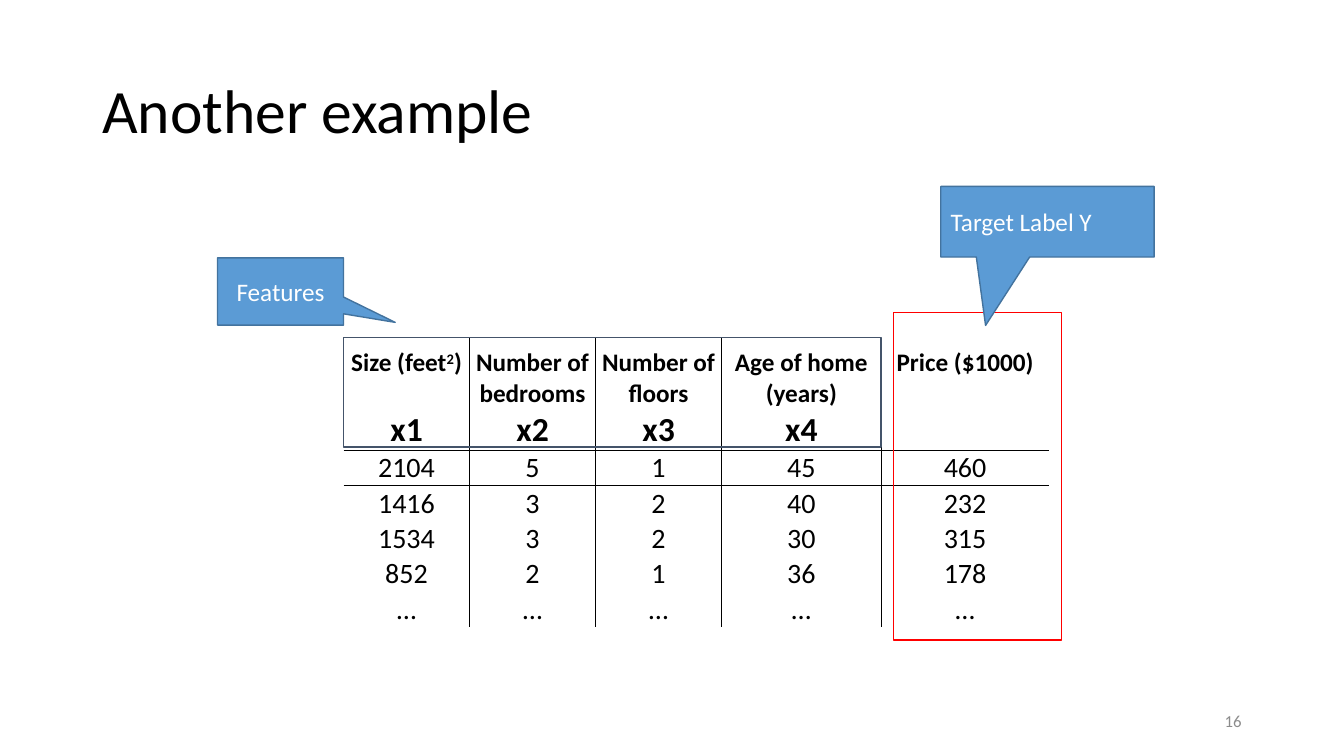
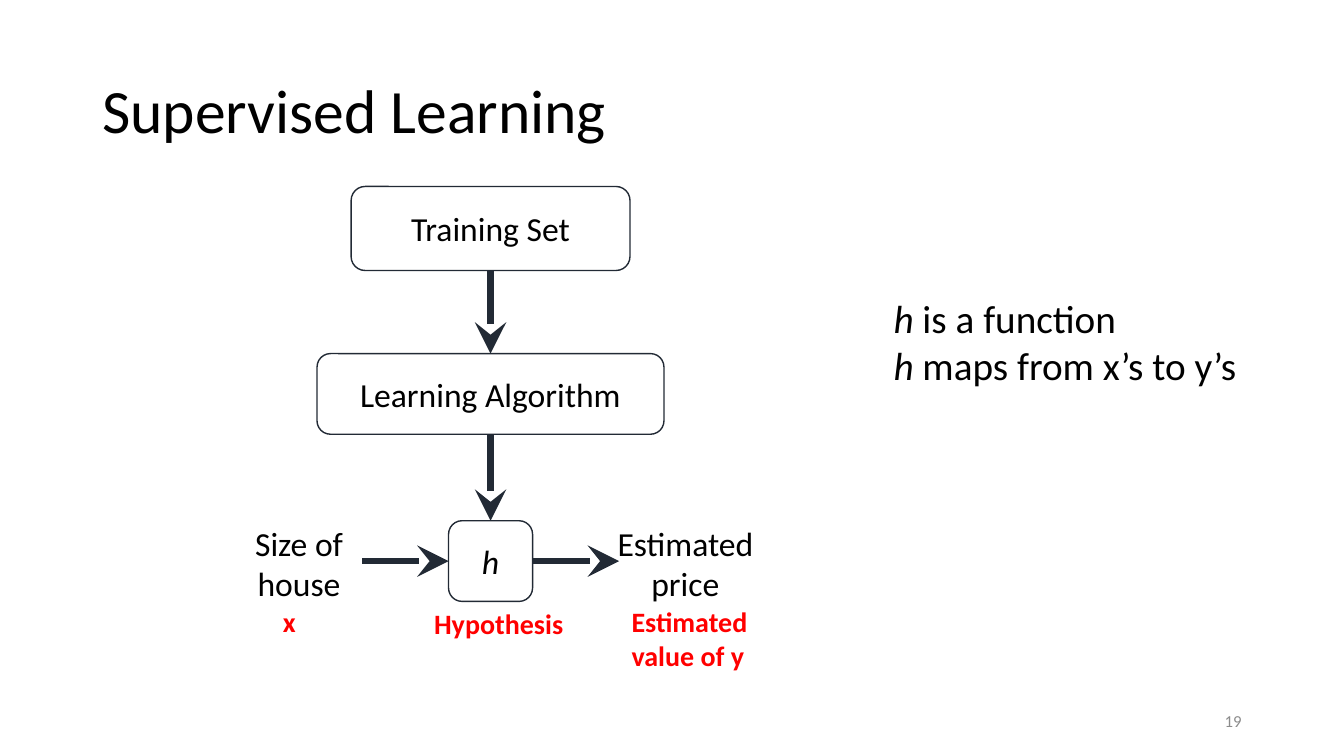
from dataclasses import dataclass, replace
from typing import NamedTuple, Optional

from lxml.etree import SubElement
from pptx import Presentation
from pptx.dml.color import RGBColor
from pptx.enum.shapes import MSO_CONNECTOR, MSO_SHAPE
from pptx.enum.text import MSO_ANCHOR, PP_ALIGN
from pptx.oxml.ns import qn
from pptx.util import Emu, Inches, Pt

# Shared look: a grid of 160 columns by 90 rows, 12 to the inch
COLS, ROWS, PER_INCH = 160, 90, 12
FONT = "Calibri"
COLORS = {
    "black": "000000", "white": "FFFFFF", "gray": "8C8C8C", "red": "FF0000",
    "blue": "5B9BD5", "edge": "43739E", "slate": "44546A", "ink": "222A35",
}


class Box(NamedTuple):
    col: float
    row: float
    wide: float
    high: float


class Bit(NamedTuple):
    text: str
    slant: bool = False
    raised: bool = False


@dataclass(frozen=True)
class Style:
    size: float
    color: str = "black"
    bold: bool = False
    align: PP_ALIGN = PP_ALIGN.LEFT
    anchor: MSO_ANCHOR = MSO_ANCHOR.TOP
    spacing: Optional[float] = None


@dataclass(frozen=True)
class Line:
    bits: tuple
    size: Optional[float] = None
    before: float = 0


@dataclass(frozen=True)
class Label:
    box: Box
    lines: tuple
    style: Style
    wrap: bool = False


@dataclass(frozen=True)
class Block:
    kind: MSO_SHAPE
    box: Box
    line: str
    fill: Optional[str] = None
    text: Optional[Line] = None
    style: Optional[Style] = None
    tip: tuple = ()


MID, CENTER = MSO_ANCHOR.MIDDLE, PP_ALIGN.CENTER
TITLE = Style(44, anchor=MID, spacing=0.9)
NUMBER = Style(12, "gray", align=PP_ALIGN.RIGHT, anchor=MID)
CALL = Style(18, "white", align=CENTER, anchor=MID)
STEP = Style(24, align=CENTER, anchor=MID)
SIDE = Style(24, align=CENTER)
TAG = Style(20, "red", bold=True)
NOTE = Style(28)
HEAD = Style(18, bold=True, align=CENTER, anchor=MSO_ANCHOR.BOTTOM)
BODY = Style(20, align=CENTER, anchor=MSO_ANCHOR.BOTTOM)


def grid(units: float) -> Emu:
    return Inches(units / PER_INCH)


def place(box: Box) -> list:
    return [grid(side) for side in box]


def rgb(name: str) -> RGBColor:
    return RGBColor.from_string(COLORS[name])


def plain(text: str, size: Optional[float] = None, before: float = 0) -> Line:
    return Line((Bit(text),), size, before)


def write(frame, lines: tuple, style: Style) -> None:
    for i, line in enumerate(lines):
        para = frame.add_paragraph() if i else frame.paragraphs[0]
        para.alignment = style.align
        if style.spacing:
            para.line_spacing = style.spacing
        if line.before:
            para.space_before = Pt(line.before)
        for bit in line.bits:
            run = para.add_run()
            run.text = bit.text
            font = run.font
            font.name, font.size = FONT, Pt(line.size or style.size)
            font.bold, font.italic = style.bold, bit.slant
            font.color.rgb = rgb(style.color)
            if bit.raised:
                run._r.get_or_add_rPr().set("baseline", "30000")


def add_label(slide, label: Label) -> None:
    frame = slide.shapes.add_textbox(*place(label.box)).text_frame
    frame.word_wrap = label.wrap
    frame.vertical_anchor = label.style.anchor
    write(frame, label.lines, label.style)


def add_block(slide, block: Block):
    shape = slide.shapes.add_shape(block.kind, *place(block.box))
    shape.shadow.inherit = False
    shape.line.color.rgb, shape.line.width = rgb(block.line), Pt(1)
    if block.fill:
        shape.fill.solid()
        shape.fill.fore_color.rgb = rgb(block.fill)
    else:
        shape.fill.background()
    for i, value in enumerate(block.tip):
        shape.adjustments[i] = value
    if block.text:
        shape.text_frame.vertical_anchor = block.style.anchor
        write(shape.text_frame, (block.text,), block.style)
    return shape


def add_arrow(slide, start: tuple, end: tuple, tail=None, head=None) -> None:
    """Draw an arrow; tail and head are (shape, side) pairs to join."""
    arrow = slide.shapes.add_connector(
        MSO_CONNECTOR.STRAIGHT, *map(grid, start + end))
    if tail:
        arrow.begin_connect(*tail)
    if head:
        arrow.end_connect(*head)
    arrow.line.color.rgb, arrow.line.width = rgb("ink"), Pt(4.5)
    SubElement(arrow.line._get_or_add_ln(), qn("a:tailEnd"),
               type="stealth", w="lg", len="lg")
    SubElement(arrow._element.spPr, qn("a:effectLst"))


def set_edges(cell, shown: dict) -> None:
    props = cell._tc.get_or_add_tcPr()
    for side in "LRTB":
        edge = SubElement(props, qn(f"a:ln{side}"), w=str(Pt(1)))
        if shown[side]:
            fill = SubElement(edge, qn("a:solidFill"))
            SubElement(fill, qn("a:srgbClr"), val=COLORS["black"])
        else:
            SubElement(edge, qn("a:noFill"))


def add_grid(slide, col: float, row: float, wides: list, highs: list,
             cells: list) -> None:
    box = Box(col, row, sum(wides), sum(highs))
    table = slide.shapes.add_table(
        len(highs), len(wides), *place(box)).table
    table.first_row = table.horz_banding = False
    for column, wide in zip(table.columns, wides):
        column.width = grid(wide)
    for line, high in zip(table.rows, highs):
        line.height = grid(high)
    for r, texts in enumerate(cells):
        for c, lines in enumerate(texts):
            cell = table.cell(r, c)
            style = BODY if r else HEAD
            cell.margin_left = cell.margin_right = Inches(0.01)
            cell.margin_top, cell.margin_bottom = Inches(0.01), 0
            cell.vertical_anchor = style.anchor
            # The price heading has no symbol below it, so it starts on top
            if r == 0 and len(lines) == 1:
                cell.vertical_anchor = MSO_ANCHOR.TOP
                cell.margin_top = Inches(0.1)
            # Rules between columns, and below the first two rows
            set_edges(cell, {"L": c > 0, "R": c < len(wides) - 1,
                             "T": r in (1, 2), "B": r in (0, 1)})
            cell.fill.solid()
            cell.fill.fore_color.rgb = rgb("white")
            write(cell.text_frame, lines, style)


def add_page(deck, title: str, number: int):
    slide = deck.slides.add_slide(deck.slide_layouts[6])
    add_label(slide, Label(Box(11, 4.8, 138, 17.4), (plain(title),),
                           TITLE, True))
    add_label(slide, Label(Box(113, 83.4, 36, 4.8), (plain(str(number)),),
                           NUMBER, True))
    return slide


def draw_homes(deck) -> None:
    slide = add_page(deck, "Another example", 16)
    left, top = 40.9, 40.2
    wides = [15, 15, 15, 19, 20]

    # Table of homes
    heads = [
        (Line((Bit("Size (feet"), Bit("2", raised=True), Bit(")"))),
         plain("x1", 24, before=22)),
        (plain("Number of bedrooms"), plain("x2", 24)),
        (plain("Number of floors"), plain("x3", 24)),
        (plain("Age of home (years)"), plain("x4", 24)),
        (plain("Price ($1000)"),),
    ]
    homes = ["2104 5 1 45 460", "1416 3 2 40 232", "1534 3 2 30 315",
             "852 2 1 36 178", "… … … … …"]
    cells = [heads] + [[(plain(word),) for word in home.split()]
                       for home in homes]
    add_grid(slide, left, top, wides, [13.4] + [4.2] * len(homes), cells)

    # Frames and callouts
    rect, call = MSO_SHAPE.RECTANGLE, MSO_SHAPE.RECTANGULAR_CALLOUT
    for block in (
        Block(rect, Box(106.4, 37.2, 20, 39), "red"),
        Block(call, Box(112, 22.2, 25.4, 8.4), "edge", "blue",
              plain("Target Label Y"), replace(CALL, align=PP_ALIGN.LEFT),
              (-0.29, 1.47)),
        Block(call, Box(25.9, 30.7, 15, 8), "edge", "blue",
              plain("Features"), CALL, (0.91, 0.46)),
        Block(rect, Box(left, top, sum(wides[:4]), 13), "slate"),
    ):
        add_block(slide, block)


def draw_flow(deck) -> None:
    slide = add_page(deck, "Supervised Learning", 19)
    axis, level = 58.4, 66.8

    # Steps, centred on one axis
    steps = []
    for bit, row, wide, high in (
        (Bit("Training Set"), 22.2, 33.2, 10),
        (Bit("Learning Algorithm"), 42.1, 41.3, 9.6),
        (Bit("h", slant=True), 62, 10, 9.6),
    ):
        box = Box(axis - wide / 2, row, wide, high)
        steps.append(add_block(slide, Block(
            MSO_SHAPE.ROUNDED_RECTANGLE, box, "ink",
            text=Line((bit,)), style=STEP)))

    # Input, output, tags and note
    for label in (
        Label(Box(28.1, 61.6, 15, 10.9), (plain("Size of house"),),
              SIDE, True),
        Label(Box(72.1, 61.6, 19, 10.9), (plain("Estimated price"),),
              SIDE, True),
        Label(Box(32.5, 71.4, 4, 5.3), (plain("x"),), TAG),
        Label(Box(50.5, 71.6, 18, 5.3), (plain("Hypothesis"),), TAG),
        Label(Box(74, 71.4, 17.2, 9.2),
              (plain("Estimated"), plain("value of y")), TAG),
        Label(Box(105.2, 34.4, 43.7, 12.5),
              tuple(Line((Bit("h", slant=True), Bit(text))) for text in
                    (" is a function", " maps from x’s to y’s")), NOTE),
    ):
        add_label(slide, label)

    # Arrows down the axis, then through the hypothesis
    for above, below in zip(steps, steps[1:]):
        add_arrow(slide, (axis, 0), (axis, 0), (above, 2), (below, 0))
    add_arrow(slide, (43.1, level), (axis, level), head=(steps[-1], 1))
    add_arrow(slide, (axis, level), (73.7, level), tail=(steps[-1], 3))


def main() -> None:
    deck = Presentation()
    deck.slide_width, deck.slide_height = grid(COLS), grid(ROWS)
    draw_homes(deck)
    draw_flow(deck)
    deck.save("out.pptx")


if __name__ == "__main__":
    main()
